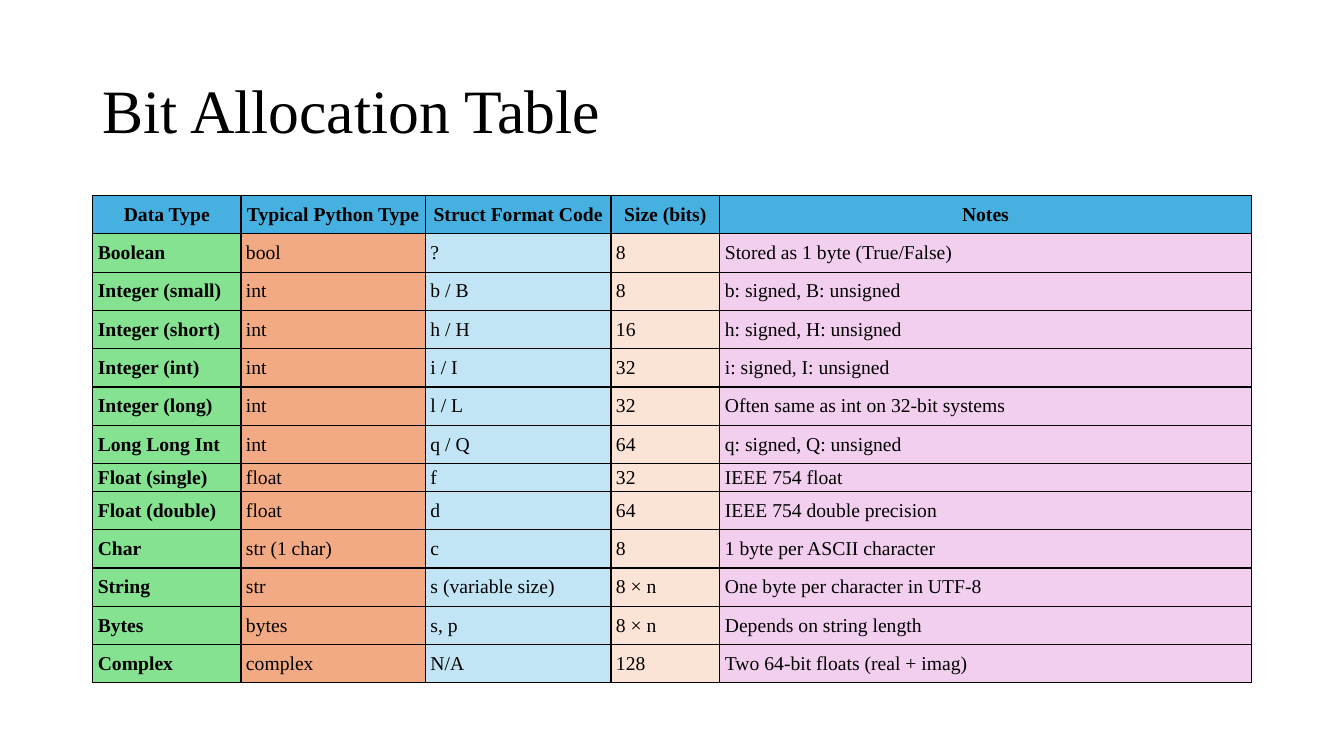
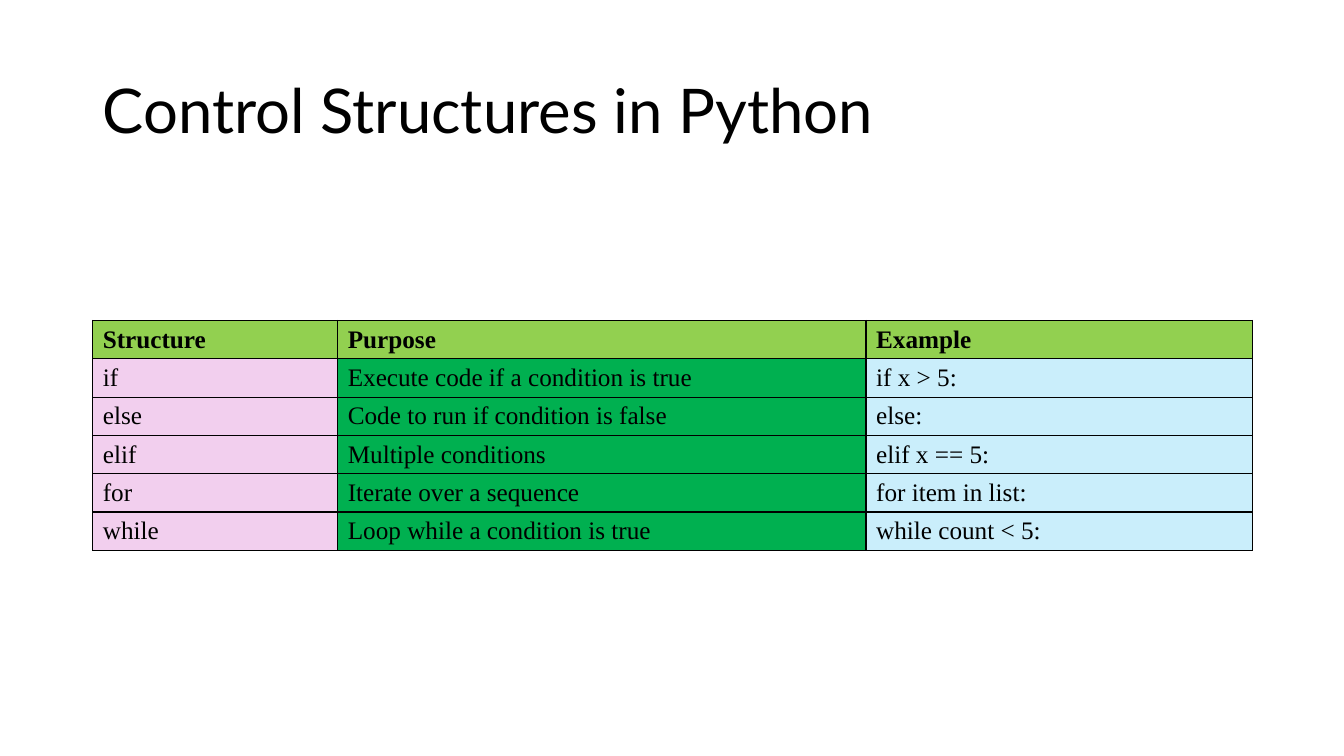
from lxml.etree import SubElement
from pptx import Presentation
from pptx.dml.color import RGBColor
from pptx.enum.text import MSO_ANCHOR as Anchor, PP_ALIGN as Align
from pptx.oxml.ns import qn
from pptx.util import Inches, Pt

BLACK = RGBColor(0x00, 0x00, 0x00)
BLUE = RGBColor(0x46, 0xB1, 0xE1)
MINT = RGBColor(0x84, 0xE2, 0x91)
ORANGE = RGBColor(0xF2, 0xAA, 0x84)
PALE_BLUE = RGBColor(0xC1, 0xE5, 0xF5)
PEACH = RGBColor(0xFB, 0xE3, 0xD6)
PINK = RGBColor(0xF2, 0xCF, 0xEE)
LIME = RGBColor(0x92, 0xD0, 0x50)
GREEN = RGBColor(0x00, 0xB0, 0x50)
SKY = RGBColor(0xCA, 0xEE, 0xFB)

SERIF = "Times New Roman"
SANS = "Lato"
ROW_HEIGHT = 0.38

BIT_ALLOCATION = [
    ("Data Type", "Typical Python Type", "Struct Format Code", "Size (bits)", "Notes"),
    ("Boolean", "bool", "?", "8", "Stored as 1 byte (True/False)"),
    ("Integer (small)", "int", "b / B", "8", "b: signed, B: unsigned"),
    ("Integer (short)", "int", "h / H", "16", "h: signed, H: unsigned"),
    ("Integer (int)", "int", "i / I", "32", "i: signed, I: unsigned"),
    ("Integer (long)", "int", "l / L", "32", "Often same as int on 32-bit systems"),
    ("Long Long Int", "int", "q / Q", "64", "q: signed, Q: unsigned"),
    ("Float (single)", "float", "f", "32", "IEEE 754 float"),
    ("Float (double)", "float", "d", "64", "IEEE 754 double precision"),
    ("Char", "str (1 char)", "c", "8", "1 byte per ASCII character"),
    ("String", "str", "s (variable size)", "8 × n", "One byte per character in UTF-8"),
    ("Bytes", "bytes", "s, p", "8 × n", "Depends on string length"),
    ("Complex", "complex", "N/A", "128", "Two 64-bit floats (real + imag)"),
]

CONTROL_STRUCTURES = [
    ("Structure", "Purpose", "Example"),
    ("if", "Execute code if a condition is true", "if x > 5:"),
    ("else", "Code to run if condition is false", "else:"),
    ("elif", "Multiple conditions", "elif x == 5:"),
    ("for", "Iterate over a sequence", "for item in list:"),
    ("while", "Loop while a condition is true", "while count < 5:"),
]


def write(frame, text, size, font=SERIF, bold=False, align=Align.LEFT, spacing=None):
    para = frame.paragraphs[0]
    para.alignment = align
    para.line_spacing = spacing
    span = para.add_run()
    span.text = text
    span.font.name = font
    span.font.size = Pt(size)
    span.font.bold = bold
    span.font.color.rgb = BLACK


def outline(cell):
    """Draw a 1 pt line on all four sides; call before filling the cell."""
    properties = cell._tc.get_or_add_tcPr()
    for side in ("L", "R", "T", "B"):
        line = SubElement(properties, qn(f"a:ln{side}"), w=str(Pt(1)))
        fill = SubElement(line, qn("a:solidFill"))
        SubElement(fill, qn("a:srgbClr"), val=str(BLACK))


class TableDeck:
    left, width = Inches(0.92), Inches(11.5)

    def __init__(self):
        self.deck = Presentation()
        self.deck.slide_width = Inches(13.33)
        self.deck.slide_height = Inches(7.5)
        self.page = None

    def add_page(self, title, font):
        self.page = self.deck.slides.add_slide(self.deck.slide_layouts[5])
        box = self.page.shapes.title
        box.left, box.top = self.left, Inches(0.4)
        box.width, box.height = self.width, Inches(1.45)
        box.text_frame.vertical_anchor = Anchor.MIDDLE
        write(box.text_frame, title, 44, font=font, spacing=0.9)

    def add_table(self, rows, top, widths, header_fill, fills, size,
                  margins=(0.1, 0.05), header_align=Align.LEFT,
                  bold_first=False, short_rows=None):
        """Fill the body by column; short_rows maps row numbers to their heights."""
        short_rows = short_rows or {}
        heights = [short_rows.get(r, ROW_HEIGHT) for r in range(len(rows))]
        table = self.page.shapes.add_table(
            len(rows), len(widths), self.left, Inches(top),
            self.width, Inches(sum(heights))).table
        table.first_row = table.horz_banding = False
        for column, width in zip(table.columns, widths):
            column.width = Inches(width)
        for row, height in zip(table.rows, heights):
            row.height = Inches(height)
        side, edge = map(Inches, margins)
        for r, texts in enumerate(rows):
            header = r == 0
            for c, text in enumerate(texts):
                cell = table.cell(r, c)
                cell.margin_left = cell.margin_right = side
                cell.margin_top = cell.margin_bottom = edge
                cell.vertical_anchor = Anchor.MIDDLE
                outline(cell)
                cell.fill.solid()
                cell.fill.fore_color.rgb = header_fill if header else fills[c]
                write(cell.text_frame, text, size,
                      bold=header or (bold_first and c == 0),
                      align=header_align if header else Align.LEFT)


def main():
    show = TableDeck()

    show.add_page("Bit Allocation Table", SERIF)
    show.add_table(BIT_ALLOCATION, 1.94, (1.47, 1.83, 1.84, 1.08, 5.27), BLUE,
                   (MINT, ORANGE, PALE_BLUE, PEACH, PINK), 14,
                   margins=(0.05, 0.03), header_align=Align.CENTER,
                   bold_first=True, short_rows={7: 0.22})

    show.add_page("Control Structures in Python", SANS)
    show.add_table(CONTROL_STRUCTURES, 3.18, (2.43, 5.24, 3.83), LIME,
                   (PINK, GREEN, SKY), 18)

    show.deck.save("out.pptx")


if __name__ == "__main__":
    main()
